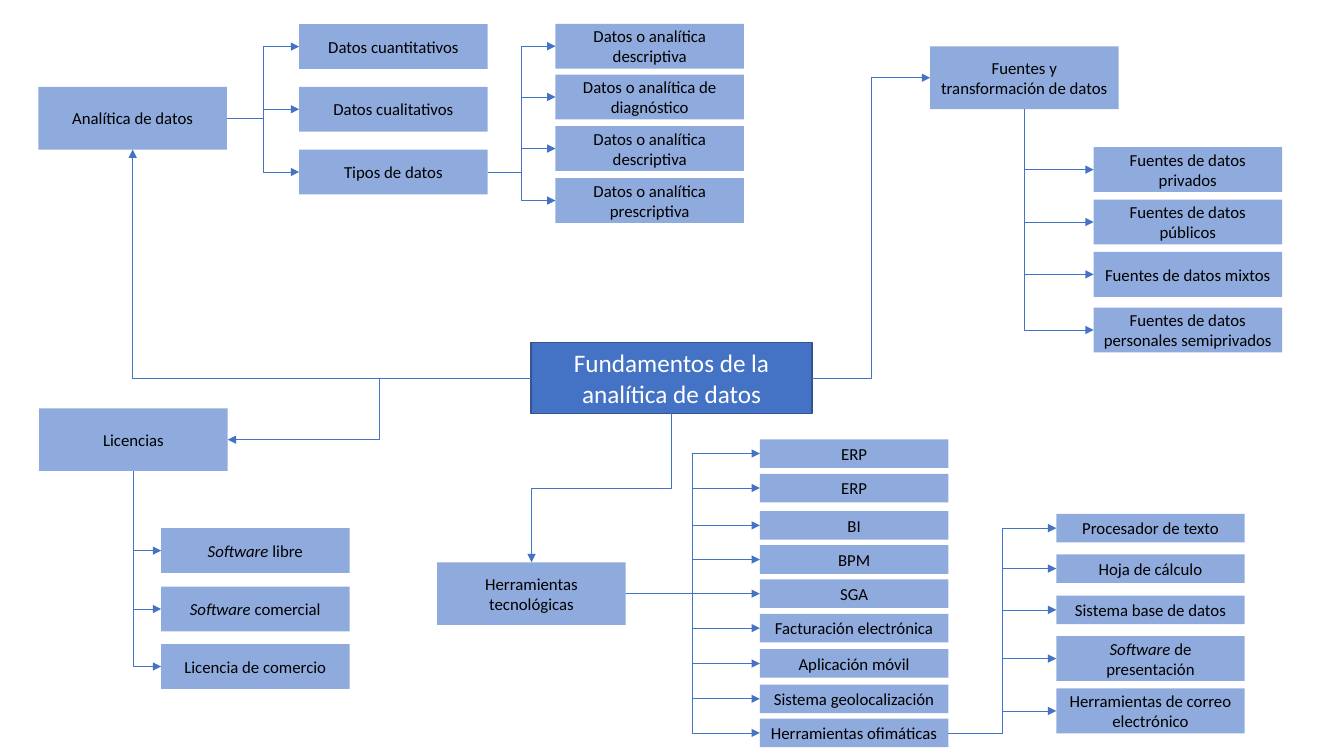
"""Builds the concept map of the foundations of data analytics."""
from lxml.etree import SubElement
from pptx import Presentation
from pptx.dml.color import RGBColor
from pptx.enum.shapes import MSO_CONNECTOR, MSO_SHAPE
from pptx.enum.text import MSO_ANCHOR, PP_ALIGN
from pptx.oxml.ns import qn
from pptx.util import Cm, Pt

TOP, LEFT, DOWN, RIGHT = range(4)
WIDE, HUB, LEAF, SLIM = 4.75, 1.58, 1.13, 0.72
hue = RGBColor.from_string


def add_box(text, x, y, w, h, fill="8FAADC", ink="000000", size=12):
    box = slide.shapes.add_shape(MSO_SHAPE.RECTANGLE, Cm(x), Cm(y), Cm(w), Cm(h))
    box.shadow.inherit = False
    box.fill.solid()
    box.fill.fore_color.rgb = hue(fill)
    box.line.fill.background()
    frame = box.text_frame
    frame.word_wrap = True
    frame.vertical_anchor = MSO_ANCHOR.MIDDLE
    para = frame.paragraphs[0]
    para.alignment = PP_ALIGN.CENTER
    head, word, rest = text.partition("Software")
    for part in filter(None, (head, word, rest)):
        run = para.add_run()
        run.text = part
        run.font.name = "Calibri"
        run.font.size = Pt(size)
        run.font.color.rgb = hue(ink)
        run.font.italic = part == "Software"
    return box


def add_link(start, out, end, into):
    link = slide.shapes.add_connector(MSO_CONNECTOR.ELBOW, 0, 0, 0, 0)
    link.begin_connect(start, out)
    link.end_connect(end, into)
    link.line.color.rgb = hue("4472C4")
    link.line.width = Pt(0.5)
    props = link._element.spPr
    SubElement(props.find(qn("a:ln")), qn("a:tailEnd"), type="triangle")
    SubElement(props, qn("a:effectLst"))
    if out % 2 != into % 2:
        props.find(qn("a:prstGeom")).set("prst", "bentConnector2")
    if out == DOWN:
        wide, high = link.width, link.height
        link.left += (wide - high) // 2
        link.top += (high - wide) // 2
        link.width, link.height = high, wide
        form = props.find(qn("a:xfrm"))
        form.set("rot", "16200000" if into == LEFT else "5400000")
        form.set("flipH", "1" if into == LEFT else "0")


deck = Presentation()
deck.slide_width, deck.slide_height = Cm(33.87), Cm(19.05)
slide = deck.slides.add_slide(deck.slide_layouts[6])

root = add_box("Fundamentos de la analítica de datos", 13.38, 8.63, 7.09, 1.79,
               "4472C4", "FFFFFF", 18)
root.line.color.rgb = hue("325491")
root.line.width = Pt(1)

hubs = [
    ("Analítica de datos", 0.97, 2.19, LEFT, DOWN),
    ("Fuentes y transformación de datos", 23.44, 1.17, RIGHT, LEFT),
    ("Licencias", 0.99, 10.29, LEFT, RIGHT),
    ("Herramientas tecnológicas", 11.02, 14.17, DOWN, TOP),
]
nodes = {}
for name, x, y, out, into in hubs:
    nodes[name] = add_box(name, x, y, WIDE, HUB)
    add_link(root, out, nodes[name], into)

groups = [
    ("Analítica de datos", RIGHT, 7.54, [
        ("Datos cuantitativos", 0.61, LEAF),
        ("Datos cualitativos", 2.19, LEAF),
        ("Tipos de datos", 3.77, LEAF)]),
    ("Tipos de datos", RIGHT, 14, [
        ("Datos o analítica descriptiva", 0.6, LEAF),
        ("Datos o analítica de diagnóstico", 1.88, LEAF),
        ("Datos o analítica descriptiva", 3.18, LEAF),
        ("Datos o analítica prescriptiva", 4.49, LEAF)]),
    ("Fuentes y transformación de datos", DOWN, 27.56, [
        ("Fuentes de datos privados", 3.71, LEAF),
        ("Fuentes de datos públicos", 5.03, LEAF),
        ("Fuentes de datos mixtos", 6.35, LEAF),
        ("Fuentes de datos personales semiprivados", 7.75, LEAF)]),
    ("Licencias", DOWN, 4.06, [
        ("Software libre", 13.31, LEAF),
        ("Software comercial", 14.78, LEAF),
        ("Licencia de comercio", 16.23, LEAF)]),
    ("Herramientas tecnológicas", RIGHT, 19.15, [
        ("ERP", 11.07, SLIM),
        ("ERP", 11.94, SLIM),
        ("BI", 12.88, SLIM),
        ("BPM", 13.74, SLIM),
        ("SGA", 14.6, SLIM),
        ("Facturación electrónica", 15.47, SLIM),
        ("Aplicación móvil", 16.36, SLIM),
        ("Sistema geolocalización", 17.25, SLIM),
        ("Herramientas ofimáticas", 18.11, SLIM)]),
    ("Herramientas ofimáticas", RIGHT, 26.62, [
        ("Procesador de texto", 12.95, SLIM),
        ("Hoja de cálculo", 13.97, SLIM),
        ("Sistema base de datos", 15.01, SLIM),
        ("Software de presentación", 16.03, LEAF),
        ("Herramientas de correo electrónico", 17.35, LEAF)]),
]
for hub, out, x, leaves in groups:
    for name, y, high in leaves:
        nodes[name] = add_box(name, x, y, WIDE, high)
        add_link(nodes[hub], out, nodes[name], LEFT)

deck.save("out.pptx")
